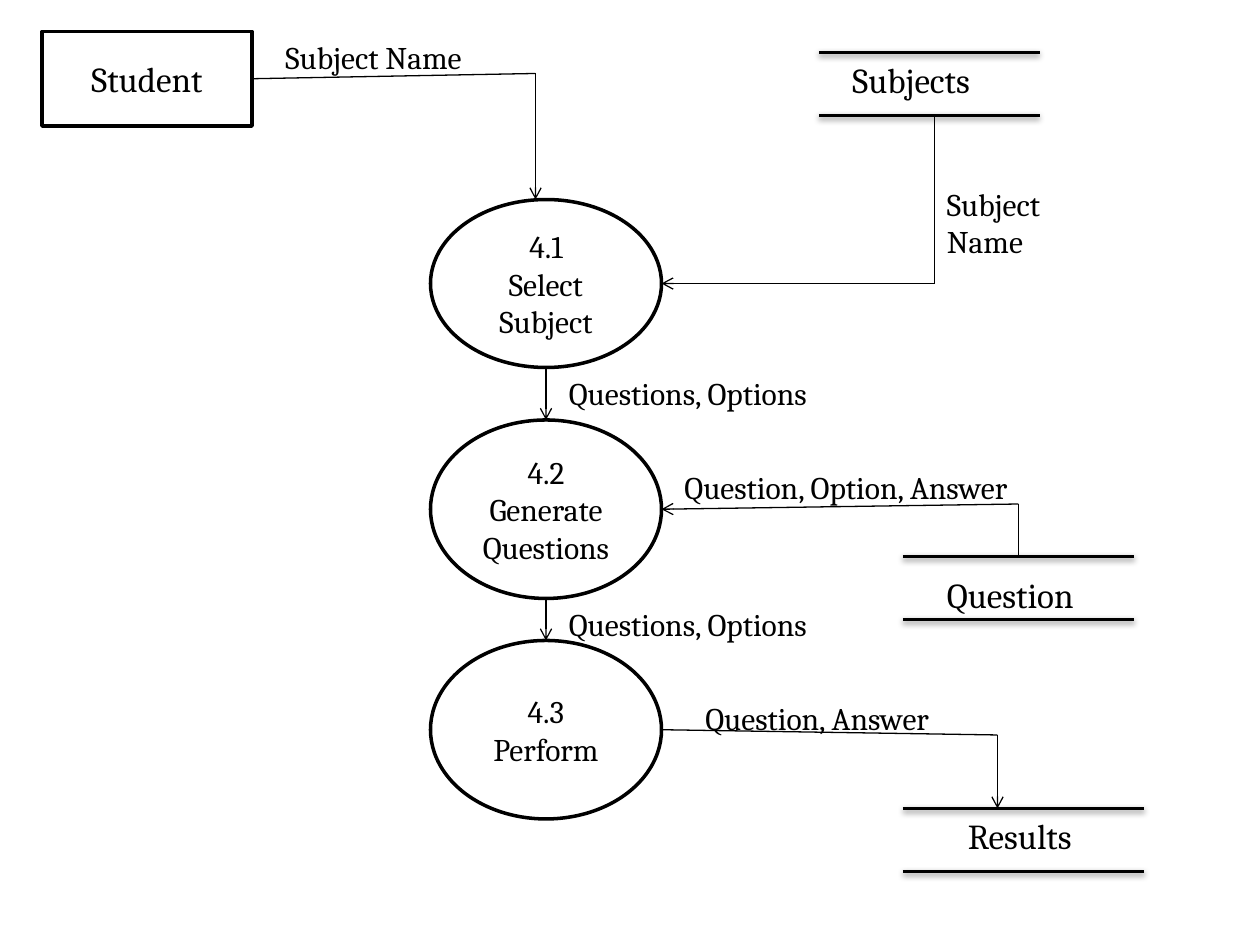
from dataclasses import dataclass
from itertools import pairwise

from lxml import etree
from pptx import Presentation
from pptx.dml.color import RGBColor
from pptx.enum.shapes import MSO_CONNECTOR, MSO_SHAPE
from pptx.enum.text import MSO_ANCHOR, MSO_AUTO_SIZE, PP_ALIGN
from pptx.oxml import parse_xml
from pptx.oxml.ns import nsdecls, qn
from pptx.slide import Slide
from pptx.util import Inches, Pt

RECTANGLE, OVAL = MSO_SHAPE.RECTANGLE, MSO_SHAPE.OVAL
STRAIGHT = MSO_CONNECTOR.STRAIGHT
MIDDLE, CENTER = MSO_ANCHOR.MIDDLE, PP_ALIGN.CENTER
GROW = MSO_AUTO_SIZE.SHAPE_TO_FIT_TEXT

CELLS_PER_INCH = 12
FONT = "Cambria"
INK, PAPER = "000000", "FFFFFF"
THIN, THICK = 0.75, 2
LARGE, NORMAL = 20, 18
STORE_HEIGHT = 6

SHADOW = (
    f'<a:effectLst {nsdecls("a")}>'
    '<a:outerShdw blurRad="40000" dist="20000" dir="5400000" rotWithShape="0">'
    f'<a:srgbClr val="{INK}"><a:alpha val="38000"/></a:srgbClr>'
    "</a:outerShdw></a:effectLst>"
)
NO_SHADOW = f'<a:effectLst {nsdecls("a")}/>'

Point = tuple[float, float]


@dataclass
class Node:
    text: str
    column: float
    row: float
    columns: float
    rows: float
    size: int = NORMAL
    kind: int = OVAL


@dataclass
class Store:
    column: float
    row: float
    columns: float


@dataclass
class Flow:
    points: list[Point]
    arrow: bool = True


@dataclass
class Label:
    text: str
    column: float
    row: float
    columns: float
    rows: float = 5
    size: int = NORMAL


NODES = [
    Node("Student", 4, 3, 20, 9, LARGE, RECTANGLE),
    Node("4.1\nSelect\nSubject", 41, 19, 22, 16),
    Node("4.2\nGenerate\nQuestions", 41, 40, 22, 17),
    Node("4.3\nPerform", 41, 61, 22, 17),
]

STORES = [Store(78, 5, 21), Store(86, 53, 22), Store(86, 77, 23)]

FLOWS = [
    Flow([(24, 7.5), (51, 7), (51, 19)]),
    Flow([(89, 11), (89, 27), (63, 27)]),
    Flow([(52, 35), (52, 40)]),
    Flow([(97, 53), (97, 48), (63, 48.5)]),
    Flow([(52, 57), (52, 61)]),
    Flow([(63, 69.5), (95, 70), (95, 77)]),
]

LABELS = [
    Label("Subject Name", 26, 3, 28),
    Label("Results", 91, 77, 13, size=LARGE),
    Label("Question", 89, 54, 16, size=LARGE),
    Label("Subjects", 80, 5, 16, size=LARGE),
    Label("Subject Name", 89, 17, 19, 8.5),
    Label("Question, Option, Answer", 64, 44, 38),
    Label("Questions, Options", 53, 35, 34),
    Label("Questions, Options", 53, 57, 28),
    Label("Question, Answer", 66, 66, 29),
]


def cells(*counts: float) -> list[int]:
    return [Inches(count / CELLS_PER_INCH) for count in counts]


def color(code: str) -> RGBColor:
    return RGBColor.from_string(code)


def write_text(box, text: str, size: int) -> None:
    box.text_frame.word_wrap = True
    box.text_frame.text = text
    for para in box.text_frame.paragraphs:
        for span in para.runs:
            span.font.name = FONT
            span.font.size = Pt(size)
            span.font.color.rgb = color(INK)


def draw_node(page: Slide, node: Node) -> None:
    shape = page.shapes.add_shape(
        node.kind, *cells(node.column, node.row, node.columns, node.rows)
    )
    shape.shadow.inherit = False
    shape.fill.solid()
    shape.fill.fore_color.rgb = color(PAPER)
    shape.line.color.rgb = color(INK)
    shape.line.width = Pt(THICK)
    write_text(shape, node.text, node.size)
    shape.text_frame.vertical_anchor = MIDDLE
    for para in shape.text_frame.paragraphs:
        para.alignment = CENTER


def draw_line(page: Slide, start: Point, end: Point, width: float,
              effect: str = NO_SHADOW, arrow: bool = False) -> None:
    line = page.shapes.add_connector(STRAIGHT, *cells(*start, *end))
    line.line.color.rgb = color(INK)
    line.line.width = Pt(width)
    if arrow:
        outline = line.line._get_or_add_ln()
        etree.SubElement(outline, qn("a:tailEnd"), type="arrow")
    line._element.spPr.append(parse_xml(effect))


def draw_store(page: Slide, store: Store) -> None:
    right = store.column + store.columns
    for row in (store.row, store.row + STORE_HEIGHT):
        draw_line(page, (store.column, row), (right, row), THICK, SHADOW)


def draw_flow(page: Slide, flow: Flow) -> None:
    for start, end in pairwise(flow.points):
        last = end == flow.points[-1]
        draw_line(page, start, end, THIN, arrow=flow.arrow and last)


def draw_label(page: Slide, label: Label) -> None:
    box = page.shapes.add_textbox(
        *cells(label.column, label.row, label.columns, label.rows)
    )
    write_text(box, label.text, label.size)
    box.text_frame.auto_size = GROW


def main() -> None:
    deck = Presentation()
    deck.slide_width, deck.slide_height = Inches(10), Inches(7.5)
    page = deck.slides.add_slide(deck.slide_layouts[6])
    for node in NODES:
        draw_node(page, node)
    for store in STORES:
        draw_store(page, store)
    for flow in FLOWS:
        draw_flow(page, flow)
    for label in LABELS:
        draw_label(page, label)
    deck.save("out.pptx")


if __name__ == "__main__":
    main()
